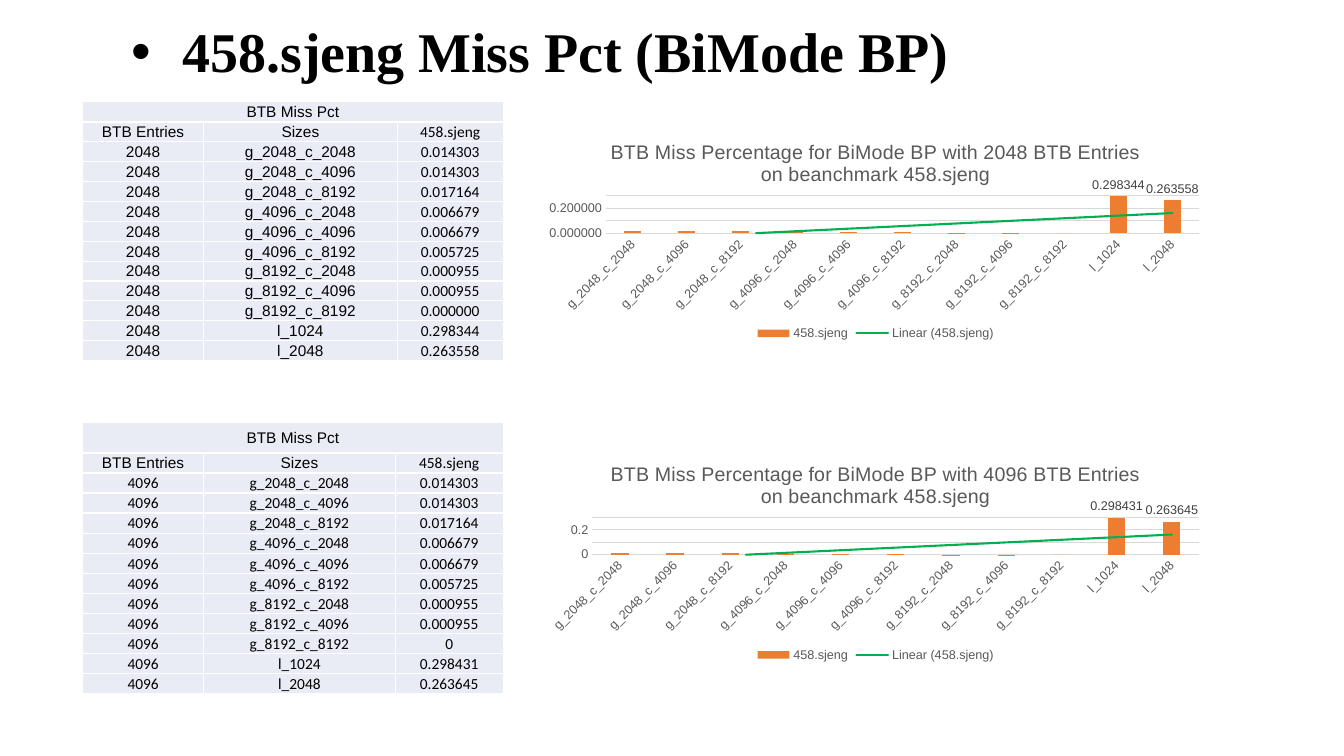
from pptx import Presentation as Deck
from pptx.chart.data import CategoryChartData as Data
from pptx.dml.color import RGBColor as Rgb
from pptx.enum.chart import XL_CHART_TYPE as Kind, XL_LABEL_POSITION as Spot
from pptx.enum.chart import XL_LEGEND_POSITION as Side, XL_TICK_MARK as Tick
from pptx.enum.text import MSO_ANCHOR as Anchor, PP_ALIGN as Align
from pptx.oxml import parse_xml as to_xml
from pptx.oxml.ns import nsdecls, qn
from pptx.util import Inches, Pt

COLORS = {
    "ink": "000000", "cell": "E9EBF5", "edge": "FFFFFF", "gray": "595959",
    "label": "404040", "grid": "D9D9D9", "bar": "ED7D31", "trend": "00B050",
}
BENCH = "458.sjeng"
POWERS = (2048, 4096, 8192)
SIZES = [f"g_{g}_c_{c}" for g in POWERS for c in POWERS] + ["l_1024", "l_2048"]
RATES = [0.014303, 0.014303, 0.017164, 0.006679, 0.006679, 0.005725,
         0.000955, 0.000955, 0]
LEFT, WIDTH = 0.82, 4.17
BODY = 12


class Page:
    def __init__(self, slide):
        self.slide = slide

    def font(self, font, size, color, name="Arial", bold=False):
        font.size = Pt(size)
        font.name = name
        font.bold = bold
        font.color.rgb = Rgb.from_string(COLORS[color])

    def line(self, line, color, width=0.75):
        line.color.rgb = Rgb.from_string(COLORS[color])
        line.width = Pt(width)

    def title(self, text, box):
        frame = self.slide.shapes.add_textbox(*map(Inches, box)).text_frame
        frame.word_wrap = True
        frame.vertical_anchor = Anchor.BOTTOM
        frame.text = text
        para = frame.paragraphs[0]
        para.line_spacing = 0.9
        self.font(para.runs[0].font, 40, "ink", "Times New Roman", True)
        props = para._p.get_or_add_pPr()
        props.set("marL", str(Inches(0.5)))
        props.set("indent", str(Inches(-0.5)))
        props.append(to_xml(f'<a:buFont {nsdecls("a")} typeface="Arial"/>'))
        props.append(to_xml(f'<a:buChar {nsdecls("a")} char="•"/>'))

    def cell(self, cell, text, name, pad):
        cell.text = text
        cell.vertical_anchor = Anchor.MIDDLE
        cell.margin_left = cell.margin_right = Inches(0.01)
        cell.margin_top, cell.margin_bottom = map(Inches, pad)
        para = cell.text_frame.paragraphs[0]
        para.alignment = Align.CENTER
        for run in para.runs:
            self.font(run.font, 11, "ink", name)
        props = cell._tc.get_or_add_tcPr()
        for edge in "LRTB":
            props.append(to_xml(
                f'<a:ln{edge} {nsdecls("a")} w="{Pt(1)}"><a:solidFill>'
                f'<a:srgbClr val="{COLORS["edge"]}"/></a:solidFill></a:ln{edge}>'))
        cell.fill.solid()
        cell.fill.fore_color.rgb = Rgb.from_string(COLORS["cell"])

    def table(self, rows, top, high, head, cols, pad, plain):
        shape = self.slide.shapes.add_table(
            len(rows), len(cols), Inches(LEFT), Inches(top),
            Inches(WIDTH), Inches(high))
        grid = shape.table
        grid.first_row = grid.horz_banding = False
        for col, wide in zip(grid.columns, cols):
            col.width = Inches(wide)
        for i, row in enumerate(rows):
            grid.rows[i].height = Inches((high - head) / BODY if i else head)
            for j, text in enumerate(row):
                body = i > 1 and not plain
                name = "Calibri" if i and (j == 2 or body) else "Arial"
                self.cell(grid.cell(i, j), text, name, (0.01, 0) if i else pad)
        grid.cell(0, 0).merge(grid.cell(0, len(cols) - 1))

    def axis(self, axis):
        axis.major_tick_mark = axis.minor_tick_mark = Tick.NONE
        self.font(axis.tick_labels.font, 9, "gray")

    def plot(self, title, values, top, form, area):
        data = Data(number_format=form)
        data.categories = SIZES
        data.add_series(BENCH, values)
        chart = self.slide.shapes.add_chart(
            Kind.COLUMN_CLUSTERED, Inches(5.34), Inches(top),
            Inches(6.69), Inches(2.17), data).chart
        self.font(chart.font, 10, "ink")
        chart.has_title = True
        frame = chart.chart_title.text_frame
        frame.text = title
        self.font(frame.paragraphs[0].runs[0].font, 14, "gray")
        chart.chart_title.include_in_layout = False
        chart.has_legend = True
        chart.legend.position = Side.BOTTOM
        chart.legend.include_in_layout = False
        self.font(chart.legend.font, 9, "gray")

        cats, vals = chart.category_axis, chart.value_axis
        self.axis(cats)
        self.line(cats.format.line, "grid")
        turn = cats._element.find(qn("c:txPr")).find(qn("a:bodyPr"))
        turn.set("rot", "-2700000")
        self.axis(vals)
        vals.format.line.fill.background()
        vals.minimum_scale, vals.maximum_scale = 0, 0.3
        vals.major_unit = 0.1
        self.line(vals.major_gridlines.format.line, "grid")
        vals.tick_labels.number_format = form
        vals.tick_labels.number_format_is_linked = False

        bars = chart.plots[0]
        bars.gap_width, bars.overlap = 219, -27
        bars.vary_by_categories = False
        self.bars(bars.series[0])
        self.area(chart, area)

    def bars(self, bars):
        bars.format.fill.solid()
        bars.format.fill.fore_color.rgb = Rgb.from_string(COLORS["bar"])
        bars.invert_if_negative = False
        bars.data_labels.show_value = False
        for i in (9, 10):
            label = bars.points[i].data_label
            self.font(label.font, 9, "label")
            label.position = Spot.OUTSIDE_END
        bars._element.find(qn("c:cat")).addprevious(to_xml(
            f'<c:trendline {nsdecls("c", "a")}><c:name>Linear ({BENCH})</c:name>'
            f'<c:spPr><a:ln w="{Pt(1.5)}" cap="rnd"><a:solidFill>'
            f'<a:srgbClr val="{COLORS["trend"]}"/></a:solidFill></a:ln></c:spPr>'
            '<c:trendlineType val="linear"/><c:dispRSqr val="0"/>'
            '<c:dispEq val="0"/></c:trendline>'))

    def area(self, chart, area):
        zone = chart._chartSpace.chart.plotArea
        for old in zone.findall(qn("c:layout")):
            zone.remove(old)
        marks = "".join(f'<c:{key}Mode val="edge"/>' for key in "xy")
        marks += "".join(f'<c:{key} val="{val}"/>' for key, val in zip("xywh", area))
        zone.insert(0, to_xml(
            f'<c:layout {nsdecls("c")}><c:manualLayout>'
            f'<c:layoutTarget val="inner"/>{marks}</c:manualLayout></c:layout>'))


def main():
    deck = Deck()
    deck.slide_width, deck.slide_height = Inches(13.33), Inches(7.5)
    page = Page(deck.slides.add_slide(deck.slide_layouts[6]))
    page.title(f"{BENCH} Miss Pct (BiMode BP)", (1.21, 0.15, 9.72, 0.74))
    groups = [
        dict(count=2048, last=[0.298344, 0.263558], digits=".6f",
             form="0.000000", chart=1.25, area=(0.1, 0.32, 0.88, 0.17),
             look=dict(top=1.01, high=2.57, head=0.2, cols=(1.2, 1.92, 1.05),
                       pad=(0.01, 0), plain=True)),
        dict(count=4096, last=[0.298431, 0.263645], digits="g",
             form="General", chart=4.44, area=(0.08, 0.32, 0.9, 0.17),
             look=dict(top=4.19, high=2.67, head=0.28, cols=(1.2, 1.9, 1.07),
                       pad=(0.06, 0.06), plain=False)),
    ]
    for group in groups:
        count, values = group["count"], RATES + group["last"]
        rows = [("BTB Miss Pct", "", ""), ("BTB Entries", "Sizes", BENCH)]
        rows += [(str(count), size, format(value, group["digits"]))
                 for size, value in zip(SIZES, values)]
        page.table(rows, **group["look"])
        title = (f"BTB Miss Percentage for BiMode BP with {count} "
                 f"BTB Entries on beanchmark {BENCH}")
        page.plot(title, values, group["chart"], group["form"], group["area"])
    deck.save("out.pptx")


if __name__ == "__main__":
    main()
